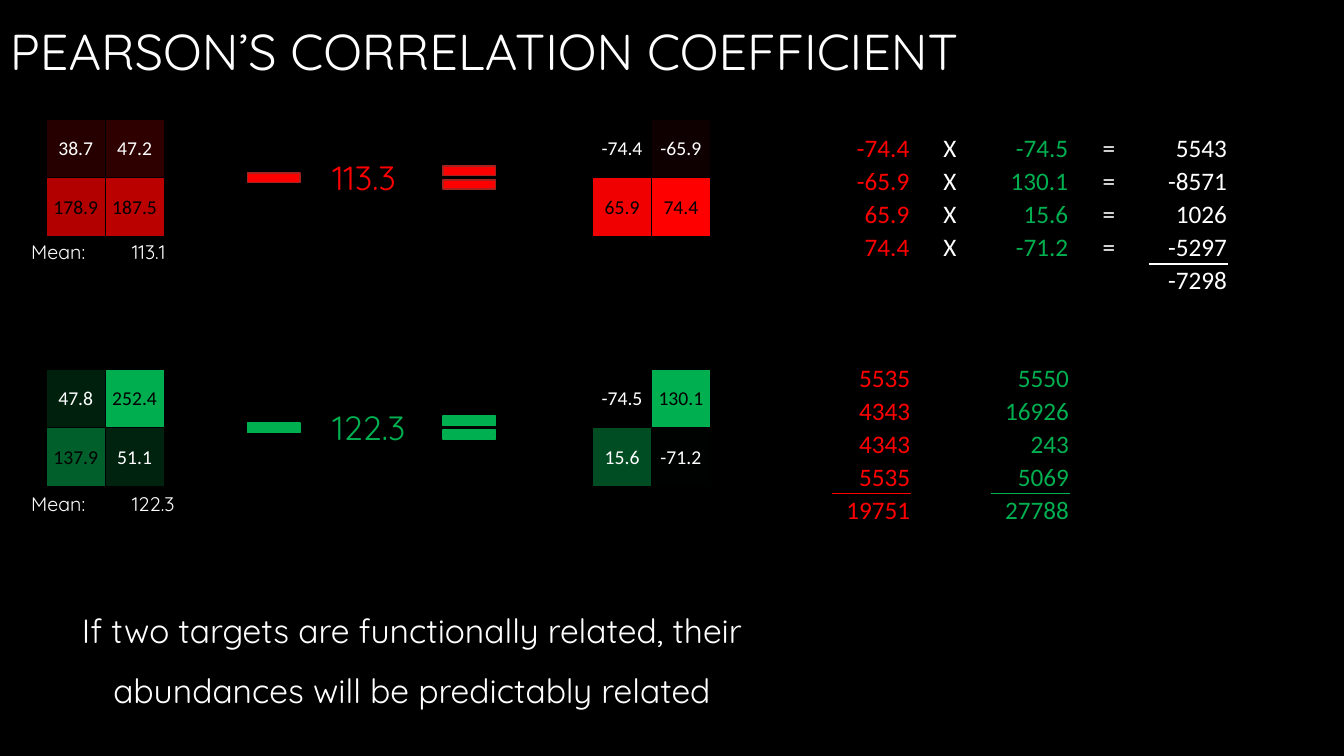
from lxml.etree import SubElement
from pptx import Presentation
from pptx.dml.color import RGBColor
from pptx.enum.shapes import MSO_SHAPE
from pptx.enum.text import MSO_ANCHOR, MSO_AUTO_SIZE, PP_ALIGN
from pptx.oxml.ns import qn
from pptx.util import Inches, Pt

BLACK = RGBColor(0x00, 0x00, 0x00)
WHITE = RGBColor(0xFF, 0xFF, 0xFF)
RED = RGBColor(0xFF, 0x00, 0x00)
DARK_RED = RGBColor(0xA5, 0x22, 0x1E)
GREEN = RGBColor(0x00, 0xB0, 0x50)
PLAIN_TABLE_STYLE = "{2D5ABB26-0587-4C30-8999-92F81FD0307C}"
BAND_STEP = 33.07  # distance from the red band to the green band

# Tables of (value, fill) pairs, one row of pairs per line
RED_VALUES = [[("38.7", "260000"), ("47.2", "2F0000")],
              [("178.9", "B20000"), ("187.5", "BB0000")]]
RED_CENTRED = [[("-74.4", "000000"), ("-65.9", "0E0000")],
               [("65.9", "F00000"), ("74.4", "FF0000")]]
GREEN_VALUES = [[("47.8", "00200E"), ("252.4", "00AE4F")],
                [("137.9", "005F2B"), ("51.1", "002310")]]
GREEN_CENTRED = [[("-74.5", "000000"), ("130.1", "00B050")],
                 [("15.6", "004D23"), ("-71.2", "000201")]]
PRODUCTS = [("-74.4", "-74.5", "5543"), ("-65.9", "130.1", "-8571"),
            ("65.9", "15.6", "1026"), ("74.4", "-71.2", "-5297")]
SQUARES = [("5535", "5550"), ("4343", "16926"), ("4343", "243"), ("5535", "5069")]


class SlideBuilder:
    """Draws on one slide; lengths are percentages of its width and height."""

    heading_font = "Quicksand"
    number_font = "Calibri"
    column_width = 5.91
    row_height = 4.37

    def __init__(self, presentation):
        self.presentation = presentation
        self.slide = presentation.slides.add_slide(presentation.slide_layouts[6])
        background = self.slide.background.fill
        background.solid()
        background.fore_color.rgb = BLACK

    def place(self, left, top, width, height):
        page_width = self.presentation.slide_width
        page_height = self.presentation.slide_height
        return (round(left * page_width / 100), round(top * page_height / 100),
                round(width * page_width / 100), round(height * page_height / 100))

    def run(self, paragraph, text, font_name, size, color):
        run = paragraph.add_run()
        run.text = text
        run.font.name = font_name
        run.font.size = Pt(size)
        run.font.color.rgb = color

    def text(self, box, text, size, color=WHITE, wrap=False, grow=True,
             align=PP_ALIGN.LEFT, spacing=1.0, anchor=MSO_ANCHOR.TOP, group=None):
        shapes = (group or self.slide).shapes
        frame = shapes.add_textbox(*self.place(*box)).text_frame
        frame.word_wrap = wrap
        frame.auto_size = MSO_AUTO_SIZE.SHAPE_TO_FIT_TEXT if grow else MSO_AUTO_SIZE.NONE
        frame.vertical_anchor = anchor
        paragraph = frame.paragraphs[0]
        paragraph.alignment = align
        paragraph.line_spacing = spacing
        self.run(paragraph, text, self.heading_font, size, color)

    def symbol(self, group, kind, box, color, outline):
        shape = group.shapes.add_shape(kind, *self.place(*box))
        shape.shadow.inherit = False
        shape.fill.solid()
        shape.fill.fore_color.rgb = color
        shape.line.color.rgb = outline
        shape.line.width = Pt(1)

    def table(self, left, top, rows, columns, column_width, row_height):
        """Add a table without style, whose cells are clear and have thin margins."""
        box = self.place(left, top, columns * column_width, rows * row_height)
        table = self.slide.shapes.add_table(rows, columns, *box).table
        table.first_row = table.horz_banding = False
        table._tbl.tblPr[0].text = PLAIN_TABLE_STYLE
        for cell in table.iter_cells():
            cell.fill.background()
            cell.margin_left = cell.margin_right = cell.margin_top = Inches(0.01)
            cell.margin_bottom = 0
            cell.vertical_anchor = MSO_ANCHOR.MIDDLE
        return table

    def cell_text(self, cell, text, size, color, align):
        paragraph = cell.text_frame.paragraphs[0]
        paragraph.alignment = align
        self.run(paragraph, text, self.number_font, size, color)

    def cell_border(self, cell, sides, color, width):
        """Border the given sides, listed in the order L, R, T, B."""
        properties = cell._tc.get_or_add_tcPr()
        for index, side in enumerate(sides):
            line = SubElement(properties, qn("a:ln" + side), w=str(Pt(width)))
            fill = SubElement(line, qn("a:solidFill"))
            SubElement(fill, qn("a:srgbClr"), val=str(color))
            properties.insert(index, line)

    def heat_map(self, left, top, rows):
        table = self.table(left, top, 2, 2, 4.38, 7.78)
        for row, pairs in enumerate(rows):
            for column, (value, fill) in enumerate(pairs):
                cell = table.cell(row, column)
                color = RGBColor.from_string(fill)
                cell.fill.solid()
                cell.fill.fore_color.rgb = color
                text_color = BLACK if max(color) > 0x50 else WHITE
                self.cell_text(cell, value, 14, text_color, PP_ALIGN.CENTER)
                self.cell_border(cell, "LRTB", BLACK, 0.5)

    def subtraction(self, top, mean, color, outline):
        group = self.slide.shapes.add_group_shape()
        self.symbol(group, MSO_SHAPE.MATH_MINUS, (17.7, top, 5.33, 5.2), color, outline)
        self.text((24, top - 0.74, 7.28, 6.67), mean, 24, color, group=group)
        self.symbol(group, MSO_SHAPE.MATH_EQUAL, (32.25, top, 5.33, 5.2), color, outline)

    def calculation(self, left, top, rows, colors):
        """Add rows of numbers; operators are centred and None is left empty."""
        table = self.table(left, top, len(rows), len(colors),
                           self.column_width, self.row_height)
        for row, values in enumerate(rows):
            for column, (value, color) in enumerate(zip(values, colors)):
                if value:
                    align = PP_ALIGN.CENTER if value in "X=" else PP_ALIGN.RIGHT
                    self.cell_text(table.cell(row, column), value, 18, color, align)

    def totals(self, left, top, columns, sums):
        """Add a table whose first row holds ruled sums, given by column."""
        table = self.table(left, top, 3, columns, self.column_width, 4.32)
        for column, (value, color) in sums.items():
            cell = table.cell(0, column)
            cell.vertical_anchor = MSO_ANCHOR.BOTTOM
            self.cell_text(cell, value, 18, color, PP_ALIGN.RIGHT)
            self.cell_border(cell, "T", color, 1)


def main():
    presentation = Presentation()
    presentation.slide_width = Inches(13.33)
    presentation.slide_height = Inches(7.5)
    builder = SlideBuilder(presentation)

    builder.text((0, -0.1, 100, 14.4), "PEARSON’S CORRELATION COEFFICIENT", 36,
                 wrap=True, grow=False, spacing=0.9, anchor=MSO_ANCHOR.MIDDLE)

    bands = [
        (RED_VALUES, RED_CENTRED, "113.1", 31.07, "113.3", RED, DARK_RED),
        (GREEN_VALUES, GREEN_CENTRED, "122.3", 64.4, "122.3", GREEN, GREEN),
    ]
    for index, (values, centred, mean, mean_top, subtracted, color, outline) in enumerate(bands):
        offset = index * BAND_STEP
        builder.heat_map(3.45, 15.73 + offset, values)
        builder.heat_map(44.1, 15.73 + offset, centred)
        builder.text((1.58, mean_top, 12.45, 4.53), f"Mean: \t{mean}", 14)
        builder.subtraction(20.9 + offset, subtracted, color, outline)

    products = [(red, "X", green, "=", product) for red, green, product in PRODUCTS]
    builder.calculation(61.82, 17.47, products, (RED, WHITE, GREEN, WHITE, WHITE))
    builder.totals(61.82, 34.93, 5, {4: ("-7298", WHITE)})

    squares = [(red, None, green) for red, green in SQUARES]
    builder.calculation(61.88, 47.87, squares, (RED, WHITE, GREEN))
    builder.totals(61.88, 65.33, 3, {0: ("19751", RED), 2: ("27788", GREEN)})

    builder.text((1.8, 77.33, 57.69, 16.53),
                 "If two targets are functionally related, their abundances "
                 "will be predictably related",
                 24, wrap=True, align=PP_ALIGN.CENTER, spacing=1.5)

    presentation.save("out.pptx")


if __name__ == "__main__":
    main()
